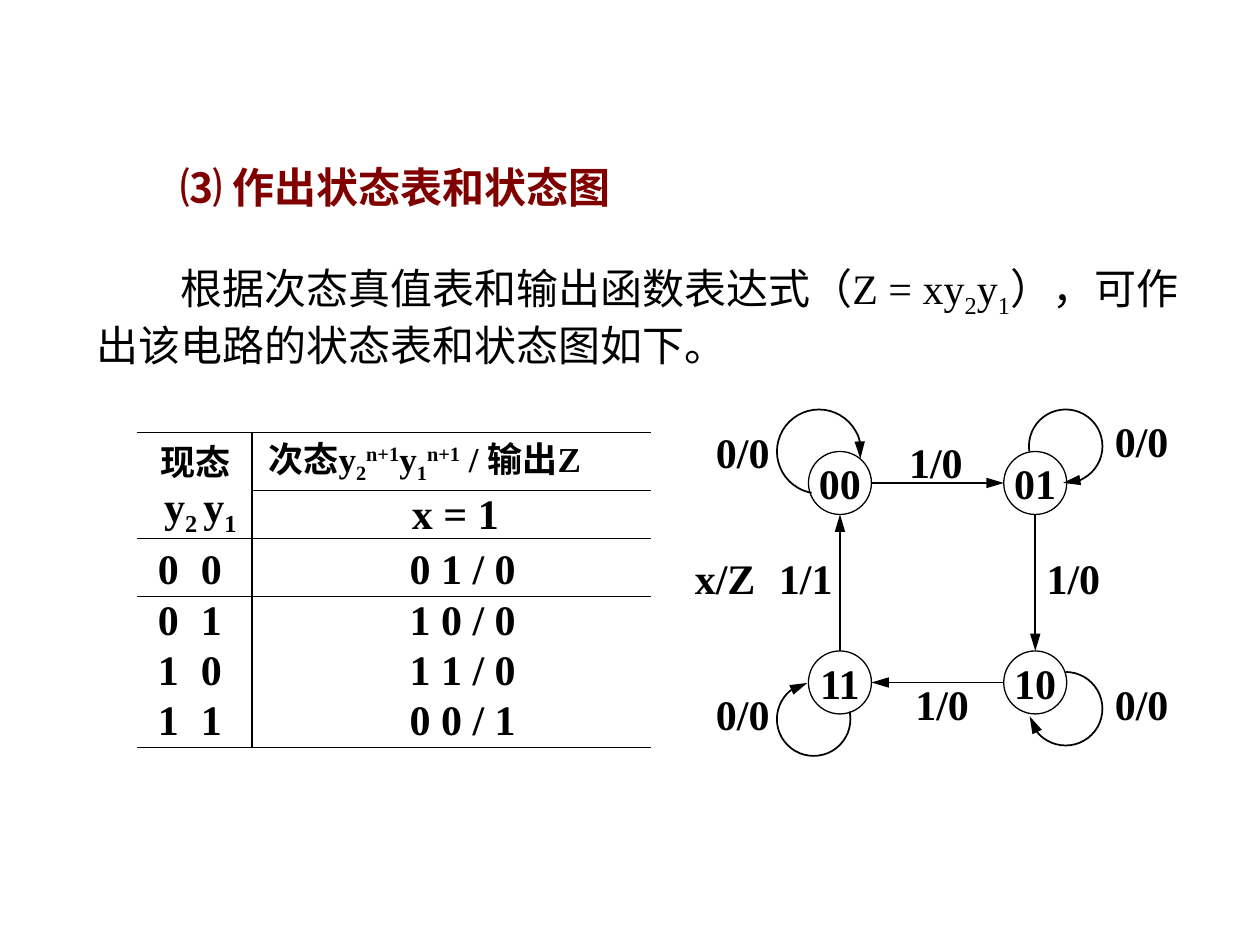
import dataclasses

import lxml.etree
import pptx
import pptx.dml.color
import pptx.enum.shapes
import pptx.enum.text
import pptx.oxml.ns
import pptx.util

ANCHOR = pptx.enum.text.MSO_ANCHOR
ALIGN = pptx.enum.text.PP_ALIGN
SHAPE = pptx.enum.shapes.MSO_SHAPE
SUB, SUPER = -25, 30


@dataclasses.dataclass(frozen=True)
class Theme:
    """Colours, font, type sizes and line widths of the slide."""
    ink: str = "000000"
    accent: str = "800000"
    paper: str = "FFFFFF"
    font: str = "Times New Roman"
    large: int = 24
    small: int = 20
    rule: float = 0.75
    arrow: float = 1


@dataclasses.dataclass(frozen=True)
class Box:
    """A rectangle measured in grid units of one twelfth of an inch."""
    left: float
    top: float
    width: float
    height: float

    def area(self, column, row, width, height):
        """Return a box placed relative to this one."""
        return Box(self.left + column, self.top + row, width, height)

    def lengths(self):
        """Return left, top, width and height as slide lengths."""
        return [units(v) for v in (self.left, self.top, self.width, self.height)]


THEME = Theme()
PAGE = Box(0, 0, 120, 90)


def units(count):
    """Convert grid units to a slide length."""
    return pptx.util.Inches(count / 12)


def color(value):
    """Return a colour object for a hex value."""
    return pptx.dml.color.RGBColor.from_string(value)


def add_xml(parent, tag, **attributes):
    """Append a DrawingML element and return it."""
    return lxml.etree.SubElement(parent, pptx.oxml.ns.qn(tag), attributes)


def write(frame, spans, size=THEME.large, bold=True, ink=THEME.ink, align=ALIGN.LEFT,
          anchor=ANCHOR.TOP, wrap=False, margins=(0.1, 0.05, 0.1, 0.05),
          indent=0, line_spacing=None, tab=0):
    """Fill a frame with one paragraph of (text, baseline) spans."""
    frame.word_wrap = wrap
    frame.auto_size = pptx.enum.text.MSO_AUTO_SIZE.NONE
    frame.vertical_anchor = anchor
    (frame.margin_left, frame.margin_top,
     frame.margin_right, frame.margin_bottom) = map(pptx.util.Inches, margins)
    para = frame.paragraphs[0]
    para.alignment = align
    if line_spacing:
        para.line_spacing = pptx.util.Pt(line_spacing)
    properties = para._p.get_or_add_pPr()
    if indent:
        properties.set("indent", str(pptx.util.Pt(indent)))
    if tab:
        stops = add_xml(properties, "a:tabLst")
        add_xml(stops, "a:tab", pos=str(pptx.util.Inches(tab)), algn="l")
    for text, baseline in [(spans, 0)] if isinstance(spans, str) else spans:
        span = para.add_run()
        span.text = text
        span.font.name = THEME.font
        span.font.size = pptx.util.Pt(size)
        span.font.bold = bold
        span.font.color.rgb = color(ink)
        if baseline:
            span.font._element.set("baseline", str(baseline * 1000))


def add_label(page, box, spans, **style):
    """Add a text box."""
    label = page.shapes.add_textbox(*box.lengths())
    write(label.text_frame, spans, **style)


def style_line(shape, width, arrow=False):
    """Draw a plain line, with an arrowhead at its end if asked."""
    shape.line.color.rgb = color(THEME.ink)
    shape.line.width = pptx.util.Pt(width)
    if arrow:
        add_xml(shape.line._get_or_add_ln(), "a:tailEnd", type="triangle", w="med", len="lg")


def add_heading(page, box):
    """Place the title and the paragraph below it."""
    title = page.shapes.title
    title.left, title.top, title.width, title.height = box.area(8, 0, 100, 6.6).lengths()
    write(title.text_frame, "⑶ 作出状态表和状态图", ink=THEME.accent, wrap=True)
    spans = [("根据次态真值表和输出函数表达式（Z = xy", 0), ("2", SUB), ("y", 0), ("1", SUB),
             ("），可作出该电路的状态表和状态图如下。", 0)]
    add_label(page, box.area(0, 9.6, box.width, 11.5), spans, bold=False, wrap=True,
              indent=2 * THEME.large)


def style_cell(cell, edges):
    """Rule the given edges of a cell and give it a plain fill."""
    properties = cell._tc.get_or_add_tcPr()
    for edge in (e for e in "LRTB" if e in edges):
        line = add_xml(properties, f"a:ln{edge}", w=str(pptx.util.Pt(THEME.rule)))
        fill = add_xml(line, "a:solidFill")
        add_xml(fill, "a:srgbClr", val=THEME.ink)
    cell.fill.solid()
    cell.fill.fore_color.rgb = color(THEME.paper)


def add_state_table(page, box):
    """Place the table of present states, next states and outputs."""
    states = [("0\t0", "0 1 / 0"), ("0\t1", "1 0 / 0"), ("1\t0", "1 1 / 0"), ("1\t1", "0 0 / 1")]
    next_state = [("次态y", 0), ("2", SUB), ("n+1", SUPER), ("y", 0), ("1", SUB),
                  ("n+1", SUPER), (" / 输出Z", 0)]
    present = [("y", 0), ("2 ", SUB), ("y", 0), ("1", SUB)]
    rows = [("现态", next_state), (present, "x = 1")] + states
    heights = [5.5, 4.6, 5.5, 4.8, 4.8, 4.8]
    insets = [(0.19, 0.13), (0.22, 1.27)] + [(0.17, 1.25)] * len(states)
    ruled = {(0, 0), (0, 1), (1, 1), (2, 0), (2, 1), (6, 0), (6, 1)}
    table = page.shapes.add_table(len(rows), 2, *box.lengths()).table
    table.first_row = table.horz_banding = False
    style = table._tbl.tblPr.find(pptx.oxml.ns.qn("a:tableStyleId"))
    style.text = "{2D5ABB26-0587-4C30-8999-92F81FD0307C}"
    for column, width in enumerate((11, box.width - 11)):
        table.columns[column].width = units(width)
    for row, texts in enumerate(rows):
        table.rows[row].height = units(heights[row])
        is_state = row > 1
        for column, text in enumerate(texts):
            cell = table.cell(row, column)
            write(cell.text_frame, text, wrap=True, line_spacing=27,
                  size=THEME.large if row else THEME.small,
                  tab=0.34 if is_state and column == 0 else 0)
            cell.margin_left = pptx.util.Inches(insets[row][column])
            cell.margin_right = cell.margin_top = 0
            cell.margin_bottom = pptx.util.Inches(0.02 if is_state else 0)
            cell.vertical_anchor = ANCHOR.BOTTOM if is_state else ANCHOR.MIDDLE
            edges = "L" if column else "R"
            edges += "T" if (row, column) in ruled else ""
            edges += "B" if (row + 1, column) in ruled else ""
            style_cell(cell, edges)


def add_state(page, box, name):
    """Draw one state as a circle with its code."""
    state = page.shapes.add_shape(SHAPE.OVAL, *box.lengths())
    state.shadow.inherit = False
    state.fill.background()
    style_line(state, THEME.rule)
    write(state.text_frame, name, align=ALIGN.CENTER, anchor=ANCHOR.MIDDLE, margins=(0,) * 4)


def add_loop(page, box, start, end):
    """Draw a clockwise arc between two angles, ending in an arrowhead."""
    loop = page.shapes.add_shape(SHAPE.ARC, *box.lengths())
    loop.shadow.inherit = False
    loop.fill.background()
    loop.adjustments[0], loop.adjustments[1] = start * 0.6, end * 0.6
    style_line(loop, THEME.arrow, arrow=True)


def add_transition(page, source, target):
    """Draw an arrow between the facing edges of two state boxes."""
    ends = []
    for here, there in ((source, target), (target, source)):
        radius = here.width / 2
        across, down = there.left - here.left, there.top - here.top
        distance = abs(across) + abs(down)
        ends += [units(here.left + radius + radius * across / distance),
                 units(here.top + radius + radius * down / distance)]
    arrow = page.shapes.add_connector(pptx.enum.shapes.MSO_CONNECTOR.STRAIGHT, *ends)
    style_line(arrow, THEME.arrow, arrow=True)
    add_xml(arrow._element.spPr, "a:effectLst")


def add_state_diagram(page, box):
    """Place the four states, their transitions, loops and labels."""
    places = {"00": (12, 4), "01": (30.6, 4), "10": (30.6, 23), "11": (12, 23)}
    states = {name: box.area(*place, 6, 6) for name, place in places.items()}
    names = list(states)
    for name, following in zip(names, names[1:] + names[:1]):
        add_state(page, states[name], name)
        add_transition(page, states[name], states[following])
    for column, row, size, start, end in [(9, 0, 8, 100, 10), (33, 0, 7, 172, 94),
                                          (33, 25, 7, 270, 168), (9, 26, 7, 348, 260)]:
        add_loop(page, box.area(column, row, size, size), start, end)
    for text, column, row in [("0/0", 2, 1), ("0/0", 40, 0), ("0/0", 40, 25), ("0/0", 2, 26),
                              ("1/0", 20.4, 2), ("1/0", 33.5, 13), ("1/0", 21, 25),
                              ("1/1", 8, 13), ("x/Z", 0, 13)]:
        add_label(page, box.area(column, row, 8.2 if text == "x/Z" else 7.5, 6), text)


def main():
    """Build the slide and save the deck."""
    deck = pptx.Presentation()
    deck.slide_width, deck.slide_height = PAGE.lengths()[2:]
    page = deck.slides.add_slide(deck.slide_layouts[5])
    add_heading(page, PAGE.area(8, 14.8, 108.2, 21.1))
    add_state_table(page, PAGE.area(13, 41.2, 49, 30))
    add_state_diagram(page, PAGE.area(65, 39, 48, 33))
    deck.save("out.pptx")


if __name__ == "__main__":
    main()
